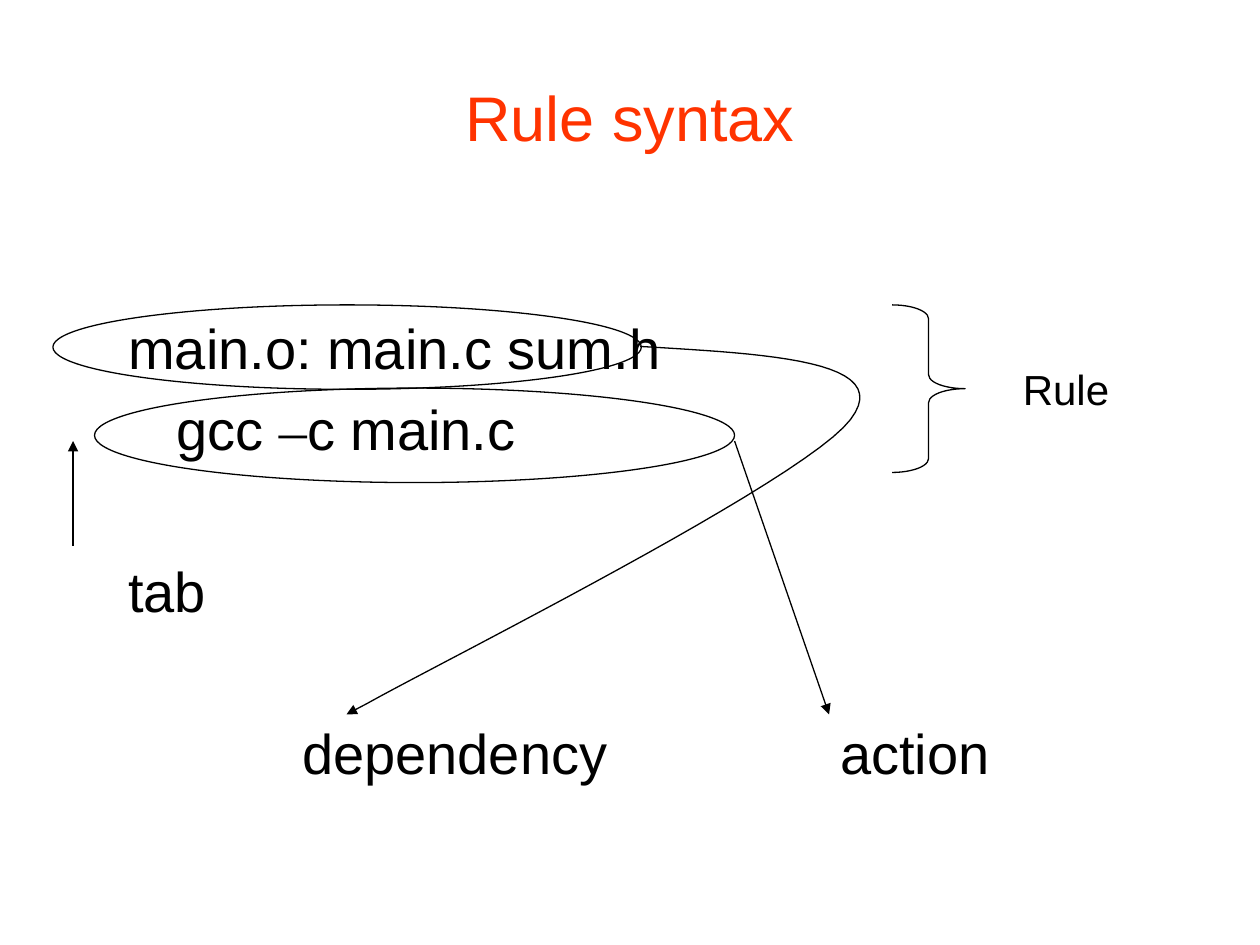
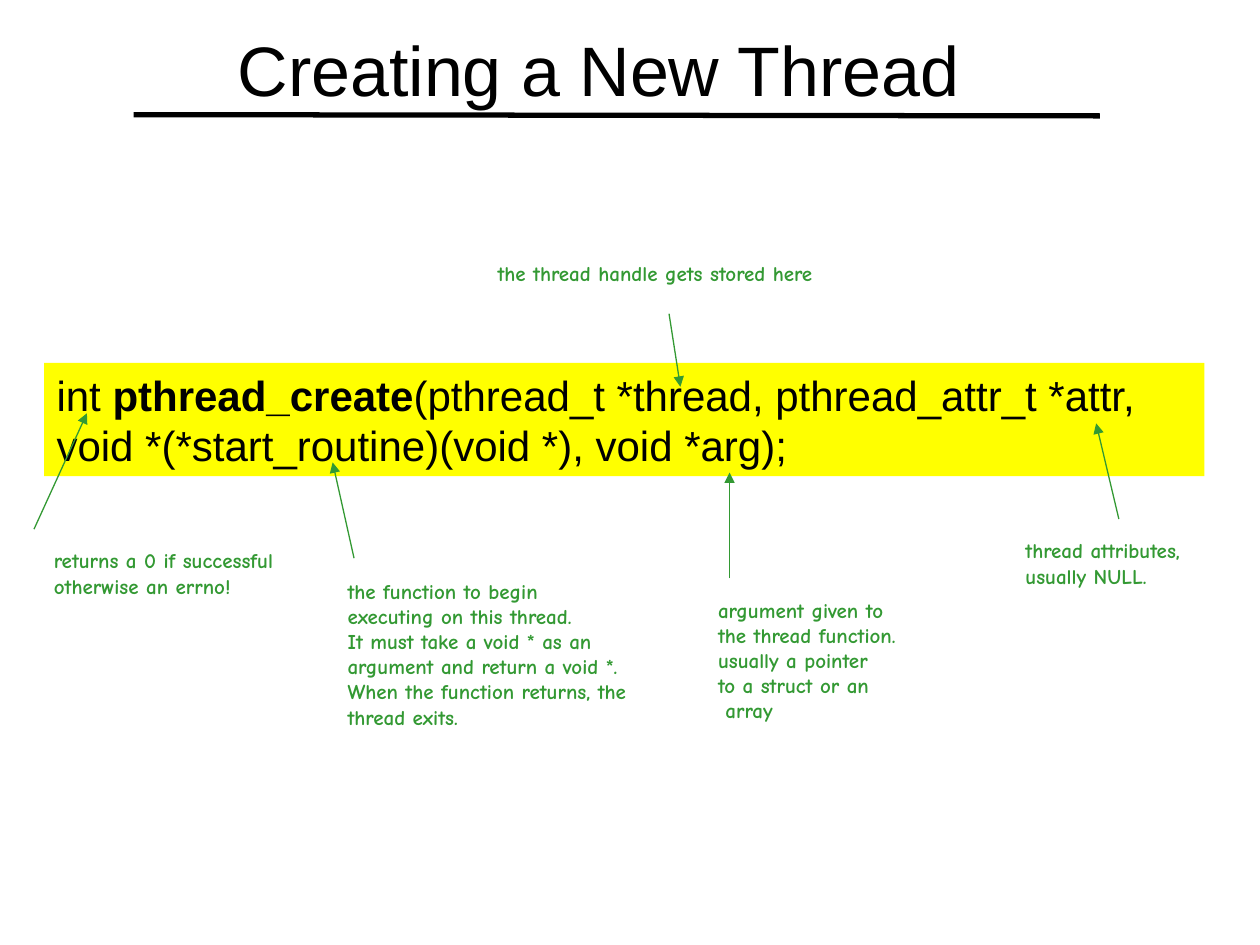
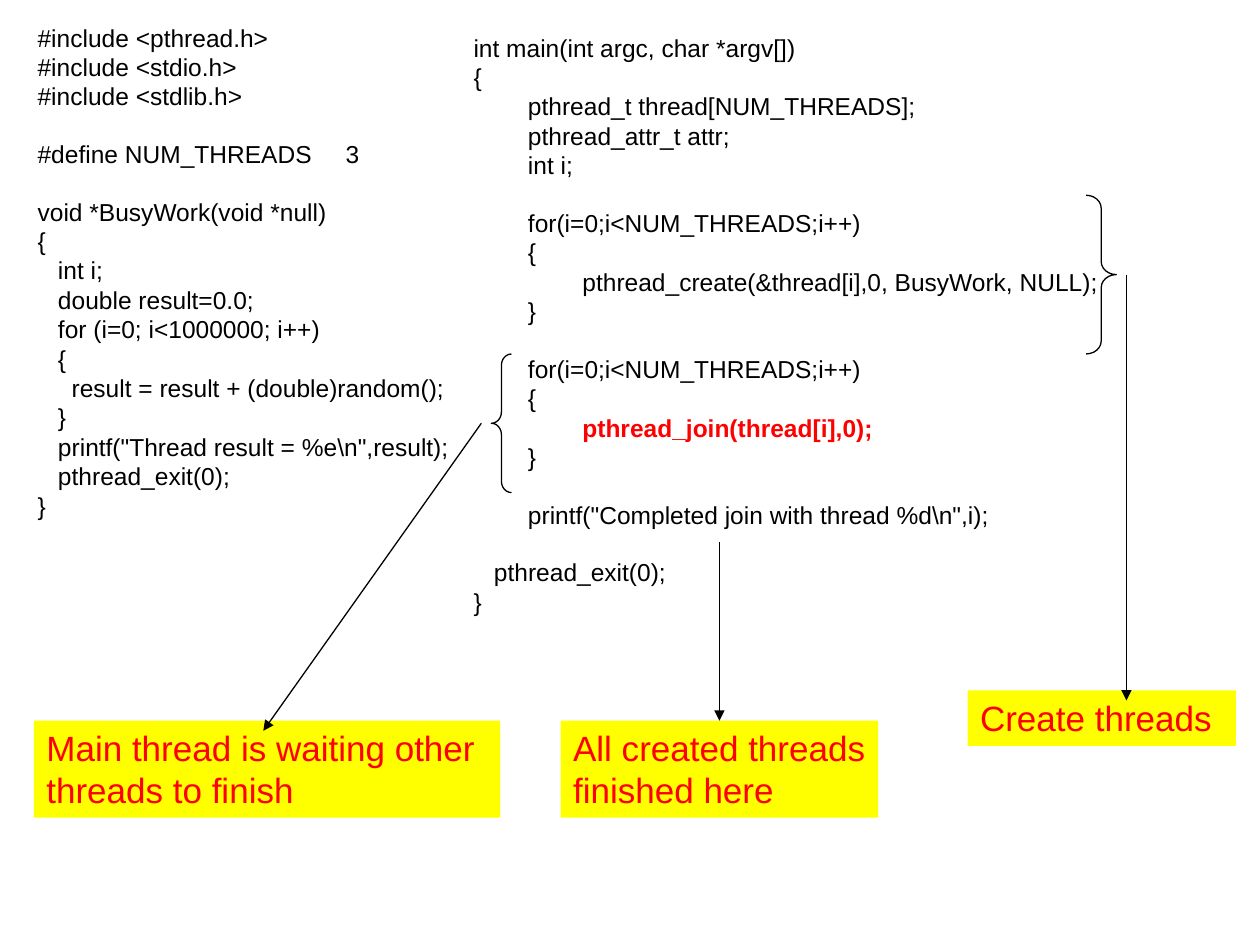
from lxml import etree
from pptx import Presentation
from pptx.dml.color import RGBColor
from pptx.enum import shapes, text
from pptx.oxml import ns
from pptx.util import Inches, Pt

BLACK = RGBColor(0x00, 0x00, 0x00)
ORANGE = RGBColor(0xFF, 0x33, 0x00)
RED = RGBColor(0xFF, 0x00, 0x00)
GREEN = RGBColor(0x33, 0x99, 0x33)
YELLOW = RGBColor(0xFF, 0xFF, 0x00)
SANS, SERIF, HAND = "Arial", "Times New Roman", "Comic Neue"
CODE_SIZE = 14
CODE_LINE = 1.15 * CODE_SIZE
THIN = 0.75

INCLUDES_AND_WORKER = r"""#include <pthread.h>
#include <stdio.h>
#include <stdlib.h>

#define NUM_THREADS     3

void *BusyWork(void *null)
{
   int i;
   double result=0.0;
   for (i=0; i<1000000; i++)
   {
     result = result + (double)random();
   }
   printf("Thread result = %e\n",result);
   pthread_exit(0);
}"""

MAIN_FUNCTION = r"""int main(int argc, char *argv[])
{
        pthread_t thread[NUM_THREADS];
        pthread_attr_t attr;
        int i;

        for(i=0;i<NUM_THREADS;i++)
        {
                pthread_create(&thread[i],0, BusyWork, NULL);
        }

        for(i=0;i<NUM_THREADS;i++)
        {
                pthread_join(thread[i],0);
        }

        printf("Completed join with thread %d\n",i);

   pthread_exit(0);
}"""


def inches(values):
    """Turn plain numbers into lengths."""
    return [Inches(value) for value in values]


def style(font, size, color=BLACK, name=SANS, bold=False):
    """Set the looks of a font."""
    font.size, font.name, font.bold = Pt(size), name, bold
    font.color.rgb = color


def add_text(page, box, content, size, color=BLACK, name=SANS, bold=False, wrap=True,
             align=text.PP_ALIGN.LEFT, anchor=text.MSO_ANCHOR.TOP, fill=None):
    """Add a text box with one paragraph per line."""
    shape = page.shapes.add_textbox(*inches(box))
    if fill is not None:
        shape.fill.solid()
        shape.fill.fore_color.rgb = fill
    frame = shape.text_frame
    frame.word_wrap, frame.vertical_anchor = wrap, anchor
    frame.text = content
    for para in frame.paragraphs:
        para.alignment = align
        for span in para.runs:
            style(span.font, size, color, name, bold)
    return shape


def add_spans(page, box, spans, size, fill=None):
    """Add one paragraph whose spans differ in font name or weight."""
    shape = add_text(page, box, "", size, fill=fill)
    para = shape.text_frame.paragraphs[0]
    for words, name, bold in spans:
        span = para.add_run()
        span.text = words
        style(span.font, size, name=name, bold=bold)


def add_title(page, box, content, size, color=BLACK):
    """Add a centred title."""
    add_text(page, box, content, size, color, align=text.PP_ALIGN.CENTER,
             anchor=text.MSO_ANCHOR.MIDDLE)


def add_line(page, start, end, color=BLACK, width=THIN, arrow=True):
    """Draw a straight line, by default with an arrowhead at its end."""
    line = page.shapes.add_connector(shapes.MSO_CONNECTOR.STRAIGHT, *inches(start + end))
    line.line.color.rgb = color
    line.line.width = Pt(width)
    properties = line.line._get_or_add_ln()
    if arrow:
        etree.SubElement(properties, ns.qn("a:tailEnd"), type="triangle")
    etree.SubElement(properties.getparent(), ns.qn("a:effectLst"))
    return line


def outline(shape):
    """Leave a shape with a thin black outline only."""
    shape.shadow.inherit = False
    shape.fill.background()
    shape.line.color.rgb = BLACK
    shape.line.width = Pt(THIN)


def add_outline(page, kind, box, bend=None):
    """Add a hollow preset shape."""
    shape = page.shapes.add_shape(kind, *inches(box))
    if bend is not None:
        shape.adjustments[0] = bend
    outline(shape)


def add_curve(page, start, curves, steps=24):
    """Draw an open outline along cubic curves."""
    points, origin = [], start
    for curve in curves:
        corners = (origin, *curve)
        for step in range(1, steps + 1):
            t = step / steps
            weights = ((1 - t) ** 3, 3 * t * (1 - t) ** 2, 3 * t * t * (1 - t), t ** 3)
            points.append(inches(sum(w * corner[axis] for w, corner in zip(weights, corners))
                                 for axis in (0, 1)))
        origin = curve[-1]
    builder = page.shapes.build_freeform(*inches(start))
    builder.add_line_segments(points, close=False)
    outline(builder.convert_to_shape())


def add_code(page, box, code, highlight=None):
    """Add a listing whose blocks are set apart by one line of space."""
    shape = add_text(page, box, code.replace("\n\n", "\n"), CODE_SIZE)
    paras = iter(shape.text_frame.paragraphs)
    for number, block in enumerate(code.split("\n\n")):
        for row, line in enumerate(block.split("\n")):
            para = next(paras)
            if number and not row:
                para.space_before = Pt(CODE_LINE)
            if highlight and highlight in line:
                style(para.runs[0].font, CODE_SIZE, RED, bold=True)


def rule_text(page, left, top):
    """Place the rule and its part names on evenly spaced rows."""
    size, pitch, height = 32, 0.643, 0.61
    rows = [
        (0, 0, 5, [("main.o: main.c sum.h", SANS, False)]),
        (0.38, 1, 5, [("gcc ", SANS, False), ("–", SERIF, False), ("c main.c", SANS, False)]),
        (0, 3, 2, [("tab", SANS, False)]),
        (1.38, 5, 3, [("dependency", SANS, False)]),
        (5.65, 5, 2, [("action", SANS, False)]),
    ]
    for indent, row, width, spans in rows:
        add_spans(page, (left + indent, top + row * pitch, width, height), spans, size)


def rule_syntax(page):
    """Build the slide on the parts of a rule."""
    add_title(page, (0.5, 0.3, 9, 1.25), "Rule syntax", 36, ORANGE)
    rule_text(page, 0.92, 2.44)
    add_outline(page, shapes.MSO_SHAPE.OVAL, (0.42, 2.42, 4.67, 0.67))
    add_outline(page, shapes.MSO_SHAPE.OVAL, (0.75, 3.08, 5.08, 0.75))
    add_line(page, (5.83, 3.5), (6.58, 5.67))
    add_curve(page, (5.08, 2.75), [((6.1, 2.81), (7.11, 2.86), (6.75, 3.33)),
                                   ((6.39, 3.81), (3.53, 5.24), (2.92, 5.58))])
    add_line(page, (2.92, 5.58), (2.75, 5.67))
    add_line(page, (0.58, 4.33), (0.58, 3.5))
    add_outline(page, shapes.MSO_SHAPE.RIGHT_BRACE, (7.08, 2.42, 0.58, 1.33), 0.19)
    add_text(page, (7.75, 2.75, 1.42, 0.67), "Rule", 24, wrap=False,
             align=text.PP_ALIGN.CENTER, anchor=text.MSO_ANCHOR.MIDDLE)


def add_note(page, box, content, start, end):
    """Add a green note and the arrow that ties it to the code."""
    add_text(page, box, content, 12, GREEN, HAND, bold=True, wrap=False)
    add_line(page, start, end, GREEN)


def creating_thread(page):
    """Build the slide that explains the call creating a thread."""
    add_title(page, (1.25, 0.25, 7, 0.59), "Creating a New Thread", 40)
    add_spans(page, (0.35, 2.88, 9.21, 0.9), [
        ("int ", SANS, False),
        ("pthread_create", SANS, True),
        ("(pthread_t *thread, pthread_attr_t *attr, void *(*start_routine)(void *), void *arg);",
         SANS, False),
    ], 24, YELLOW)
    notes = [
        ((3.85, 2.02, 2.72, 0.3), "the thread handle gets stored here", (5.31, 2.49), (5.4, 3.07)),
        ((0.33, 4.3, 1.94, 0.5), "returns a 0 if successful\notherwise an errno!",
         (0.27, 4.2), (0.69, 3.28)),
        ((8.04, 4.22, 1.44, 0.5), "thread attributes,\nusually NULL.", (8.88, 4.12), (8.7, 3.36)),
        ((2.66, 4.54, 2.42, 1.3),
         "the function to begin\nexecuting on this thread.\nIt must take a void * as an\n"
         "argument and return a void *.\nWhen the function returns, the\nthread exits.",
         (2.81, 4.43), (2.64, 3.67)),
        ((5.6, 4.69, 1.61, 1.1),
         "argument given to\nthe thread function.\nusually a pointer\nto a struct or an\n array",
         (5.79, 4.59), (5.79, 3.75)),
    ]
    for note in notes:
        add_note(page, *note)
    add_line(page, (1.06, 0.91), (8.73, 0.92), width=3, arrow=False)


def add_label(page, box, content):
    """Add a red label on yellow."""
    return add_text(page, box, content, 20, RED, fill=YELLOW)


def joining_threads(page):
    """Build the slide with the full program and its stages."""
    add_code(page, (0.2, 0.13, 4.02, 4.07), INCLUDES_AND_WORKER)
    add_code(page, (3.66, 0.21, 5.79, 4.77), MAIN_FUNCTION, "pthread_join")
    add_outline(page, shapes.MSO_SHAPE.RIGHT_BRACE, (8.62, 1.55, 0.24, 1.26), 0.43)
    add_outline(page, shapes.MSO_SHAPE.LEFT_BRACE, (3.9, 2.81, 0.16, 1.1), 0.56)
    add_label(page, (7.68, 5.48, 2.13, 0.44), "Create threads")
    add_label(page, (0.27, 5.72, 3.7, 0.77), "Main thread is waiting other threads to finish")
    finished = add_label(page, (4.45, 5.72, 2.52, 0.77), "All created threads finished here")
    add_line(page, (8.94, 2.18), (8.94, 5.56))
    add_line(page, (3.82, 3.36), (2.09, 5.8))
    add_line(page, (5.71, 4.3), (5.71, 5.72)).end_connect(finished, 0)


def main():
    """Build the deck and save it."""
    deck = Presentation()
    deck.slide_width, deck.slide_height = Inches(10), Inches(7.5)
    for build in (rule_syntax, creating_thread, joining_threads):
        build(deck.slides.add_slide(deck.slide_layouts[6]))
    deck.save("out.pptx")


if __name__ == "__main__":
    main()
